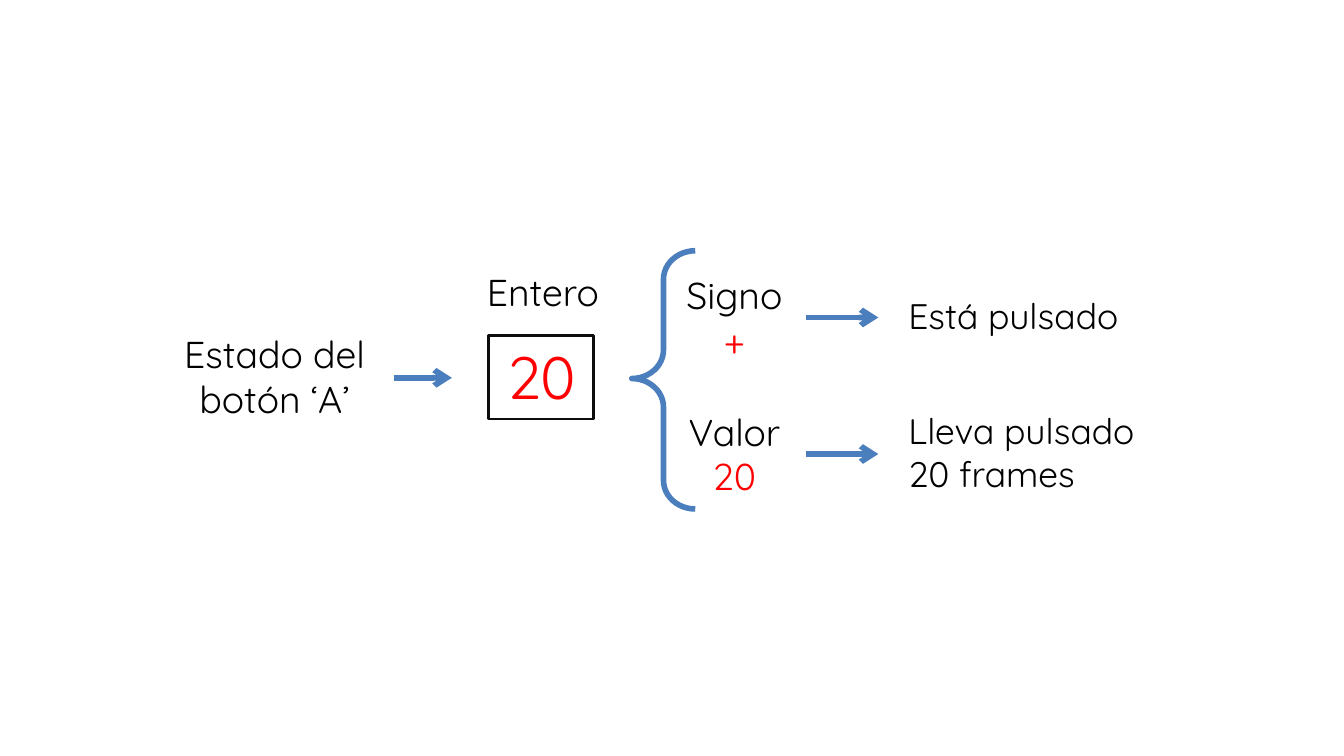
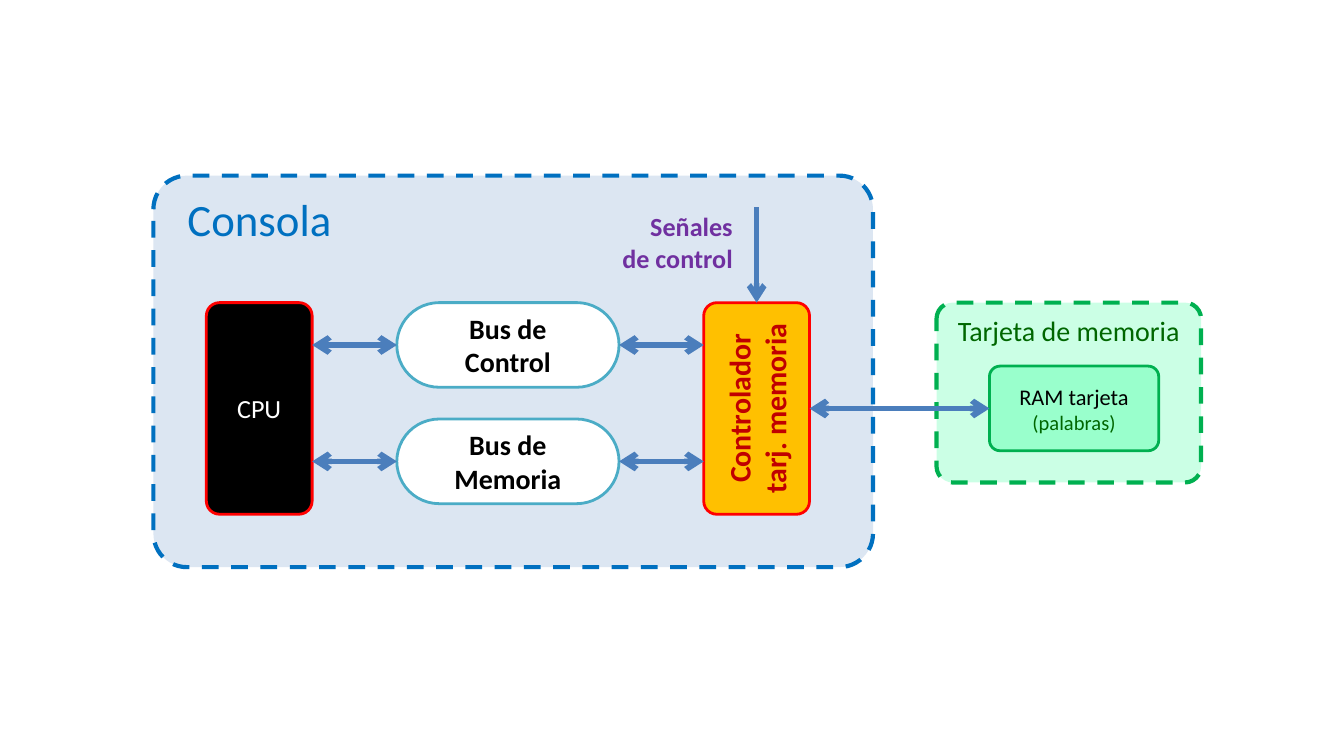
from dataclasses import dataclass

from lxml.etree import SubElement
from pptx import Presentation
from pptx.dml.color import RGBColor
from pptx.enum.dml import MSO_LINE_DASH_STYLE as Dash
from pptx.enum.shapes import MSO_CONNECTOR as Connector, MSO_SHAPE as Preset
from pptx.enum.text import MSO_ANCHOR as Anchor, PP_ALIGN as Align
from pptx.oxml.ns import qn
from pptx.util import Cm, Inches, Pt

BLACK = RGBColor(0x00, 0x00, 0x00)
INK = RGBColor(0x0D, 0x0D, 0x0D)
WHITE = RGBColor(0xFF, 0xFF, 0xFF)
RED = RGBColor(0xFF, 0x00, 0x00)
DARK_RED = RGBColor(0xC0, 0x00, 0x00)
ARROW_BLUE = RGBColor(0x4B, 0x7E, 0xBC)
PANEL_BLUE = RGBColor(0xDC, 0xE6, 0xF2)
CONSOLE_BLUE = RGBColor(0x00, 0x70, 0xC0)
BUS_BLUE = RGBColor(0x4B, 0xAC, 0xC6)
AMBER = RGBColor(0xFF, 0xC0, 0x00)
PURPLE = RGBColor(0x70, 0x30, 0xA0)
MINT = RGBColor(0x99, 0xFF, 0xCC)
GREEN = RGBColor(0x00, 0xB0, 0x50)
DARK_GREEN = RGBColor(0x00, 0x66, 0x00)

ROUND_FONT = "Quicksand"
PLAIN_FONT = "Calibri"
CELL = Cm(0.2)  # both slides are laid out on square cells of this size


@dataclass
class Box:
    """A rectangle measured in grid cells."""
    left: float
    top: float
    width: float
    height: float

    def inner(self, left, top, width, height):
        """Return a box placed relative to this one."""
        return Box(self.left + left, self.top + top, width, height)

    def point(self, column, row):
        """Return a grid point relative to this box."""
        return self.left + column, self.top + row

    def lengths(self):
        """Return left, top, width and height as slide lengths."""
        return [round(side * CELL)
                for side in (self.left, self.top, self.width, self.height)]


@dataclass
class Style:
    """Look of one line of text."""
    size: float
    color: RGBColor
    font: str = PLAIN_FONT
    bold: bool = False


def write(shape, lines, align=Align.CENTER, anchor=Anchor.TOP):
    """Write (text, style) lines, one paragraph each."""
    frame = shape.text_frame
    frame.word_wrap = True
    frame.vertical_anchor = anchor
    for index, (text, style) in enumerate(lines):
        para = frame.add_paragraph() if index else frame.paragraphs[0]
        para.alignment = align
        span = para.add_run()
        span.text = text
        span.font.name = style.font
        span.font.size = Pt(style.size)
        span.font.bold = style.bold
        span.font.color.rgb = style.color


def add_label(shapes, box, lines, align=Align.CENTER, anchor=Anchor.TOP):
    """Add a free text box."""
    write(shapes.add_textbox(*box.lengths()), lines, align, anchor)


def add_outline(shapes, box, preset, color, weight, fill=None, adjust=()):
    """Add a preset shape with a plain outline and an optional fill."""
    shape = shapes.add_shape(preset, *box.lengths())
    shape.shadow.inherit = False
    for index, value in enumerate(adjust):
        shape.adjustments[index] = value
    if fill is None:
        shape.fill.background()
    else:
        shape.fill.solid()
        shape.fill.fore_color.rgb = fill
    shape.line.color.rgb = color
    shape.line.width = Pt(weight)
    return shape


def add_arrow(shapes, start, end, both=False):
    """Add a blue arrow between two grid points."""
    ends = [round(place * CELL) for place in (*start, *end)]
    arrow = shapes.add_connector(Connector.STRAIGHT, *ends)
    arrow.line.color.rgb = ARROW_BLUE
    arrow.line.width = Pt(3)
    properties = arrow._element.spPr
    line = properties.find(qn("a:ln"))
    for tag in ("a:headEnd", "a:tailEnd") if both else ("a:tailEnd",):
        SubElement(line, qn(tag), type="arrow")
    SubElement(properties, qn("a:effectLst"))


def add_block(page, box, color, fill, lines, corner=0.125):
    """Add a rounded block with centred text."""
    block = add_outline(page.shapes, box, Preset.ROUNDED_RECTANGLE,
                        color, 1.5, fill, [corner])
    write(block, lines, anchor=Anchor.MIDDLE)
    return block


def add_panel(page, box, color, fill, title, align, corner):
    """Add a dashed rounded panel with its title at the top."""
    panel = add_outline(page.shapes, box, Preset.ROUNDED_RECTANGLE,
                        color, 2.25, fill, [corner])
    panel.line.dash_style = Dash.DASH
    write(panel, [title], align)
    return panel


def add_integer(page, box):
    """Draw the boxed integer under its heading."""
    add_outline(page.shapes, box, Preset.RECTANGLE, INK, 1.5)
    add_label(page.shapes, box.inner(0.3, -0.3, 9.4, 8.1),
              [("20", Style(32, RED, ROUND_FONT))], anchor=Anchor.MIDDLE)
    add_label(page.shapes, box.inner(-2.9, -6.9, 16, 5.6),
              [("Entero", Style(20, BLACK, ROUND_FONT))])


def add_reading(page, box, name, value, meaning, meaning_height):
    """Draw one row: a part of the integer, an arrow and its meaning."""
    shapes = page.shapes.add_group_shape().shapes
    middle = box.height / 2
    add_label(shapes, box.inner(0, 0, 14.4, box.height),
              [(name, Style(20, BLACK, ROUND_FONT)),
               (value, Style(20, RED, ROUND_FONT))])
    add_arrow(shapes, box.point(14, middle), box.point(20.8, middle))
    add_label(shapes,
              box.inner(22.4, middle - 0.15 - meaning_height / 2,
                        28, meaning_height),
              [(meaning, Style(19, BLACK, ROUND_FONT))], Align.LEFT)


def button_state_slide(page, box):
    """Explain how one integer holds the state of a button."""
    style = Style(20, BLACK, ROUND_FONT)
    add_integer(page, box.inner(46.2, 31.7, 9.9, 7.9))
    add_label(page.shapes, box.inner(12.6, 30.7, 26.7, 9.8),
              [("Estado del", style), ("botón ‘A’", style)])
    add_arrow(page.shapes, box.point(37.2, 35.7), box.point(42.7, 35.7))
    add_outline(page.shapes, box.inner(59.7, 23.7, 6, 24.4),
                Preset.LEFT_BRACE, ARROW_BLUE, 3, adjust=(0.45, 0.495))
    for row, *reading in (
        (25.1, "Signo", "+", "Está pulsado", 5.3),
        (38, "Valor", "20", "Lleva pulsado 20 frames", 9.4),
    ):
        add_reading(page, box.inner(62.2, row, 50.4, 9.8), *reading)


def add_card(page, box):
    """Draw the memory card and return the box of its RAM."""
    panel = add_panel(page, box, GREEN, MINT,
                      ("Tarjeta de memoria", Style(15, DARK_GREEN)),
                      Align.CENTER, 0.09)
    tint = panel._element.spPr.find(qn("a:solidFill"))[0]
    SubElement(tint, qn("a:alpha"), val="50000")
    memory = box.inner(5, 6, 16, 8)
    add_block(page, memory, GREEN, MINT,
              [("RAM tarjeta", Style(12, BLACK)),
               ("(palabras)", Style(11, DARK_GREEN))])
    return memory


def add_bus(page, box, gap, lines):
    """Draw a bus with a two-way arrow on each side."""
    style = Style(15, BLACK, bold=True)
    add_block(page, box, BUS_BLUE, WHITE,
              [(text, style) for text in lines], corner=0.5)
    middle = box.height / 2
    for start in (-gap, box.width):
        add_arrow(page.shapes, box.point(start, middle),
                  box.point(start + gap, middle), both=True)


def add_console(page, box):
    """Draw the console and return the box of its card controller."""
    panel = add_panel(page, box, CONSOLE_BLUE, PANEL_BLUE,
                      ("Consola", Style(24, CONSOLE_BLUE)), Align.LEFT, 0.086)
    panel.text_frame.margin_left = Inches(0.18)

    width, height, gap, bus_width = 10, 20, 8, 21
    processor = box.inner(5, 12, width, height)
    add_block(page, processor, RED, BLACK, [("CPU", Style(14, WHITE))])

    controller = processor.inner(width + 2 * gap + bus_width, 0, width, height)
    turn = (height - width) / 2
    block = add_block(page, controller.inner(-turn, turn, height, width),
                      RED, AMBER, [("Controlador tarj. memoria",
                                    Style(16, DARK_RED, bold=True))])
    block.rotation = 270

    buses = (["Bus de", "Control"], ["Bus de Memoria"])
    for index, lines in enumerate(buses):
        bus = processor.inner(width + gap, 11 * index, bus_width, 8)
        add_bus(page, bus, gap, lines)

    add_arrow(page.shapes, controller.point(width / 2, -9),
              controller.point(width / 2, 0))
    style = Style(14, PURPLE, bold=True)
    add_label(page.shapes, controller.inner(-10, -9.3, 14, 7.2),
              [("Señales", style), ("de control", style)], Align.RIGHT)
    return controller


def memory_card_slide(page, box):
    """Show how the console reaches the memory card."""
    memory = add_card(page, box.inner(88.5, 28.6, 25, 17))
    controller = add_console(page, box.inner(14.5, 16.6, 68, 37))
    add_arrow(page.shapes, controller.point(controller.width, 10),
              memory.point(0, 4), both=True)


deck = Presentation()
deck.slide_width, deck.slide_height = Inches(10), Inches(5.625)
whole = Box(0, 0, deck.slide_width / CELL, deck.slide_height / CELL)
blank = deck.slide_layouts[6]
for build in (button_state_slide, memory_card_slide):
    build(deck.slides.add_slide(blank), whole)
deck.save("out.pptx")
